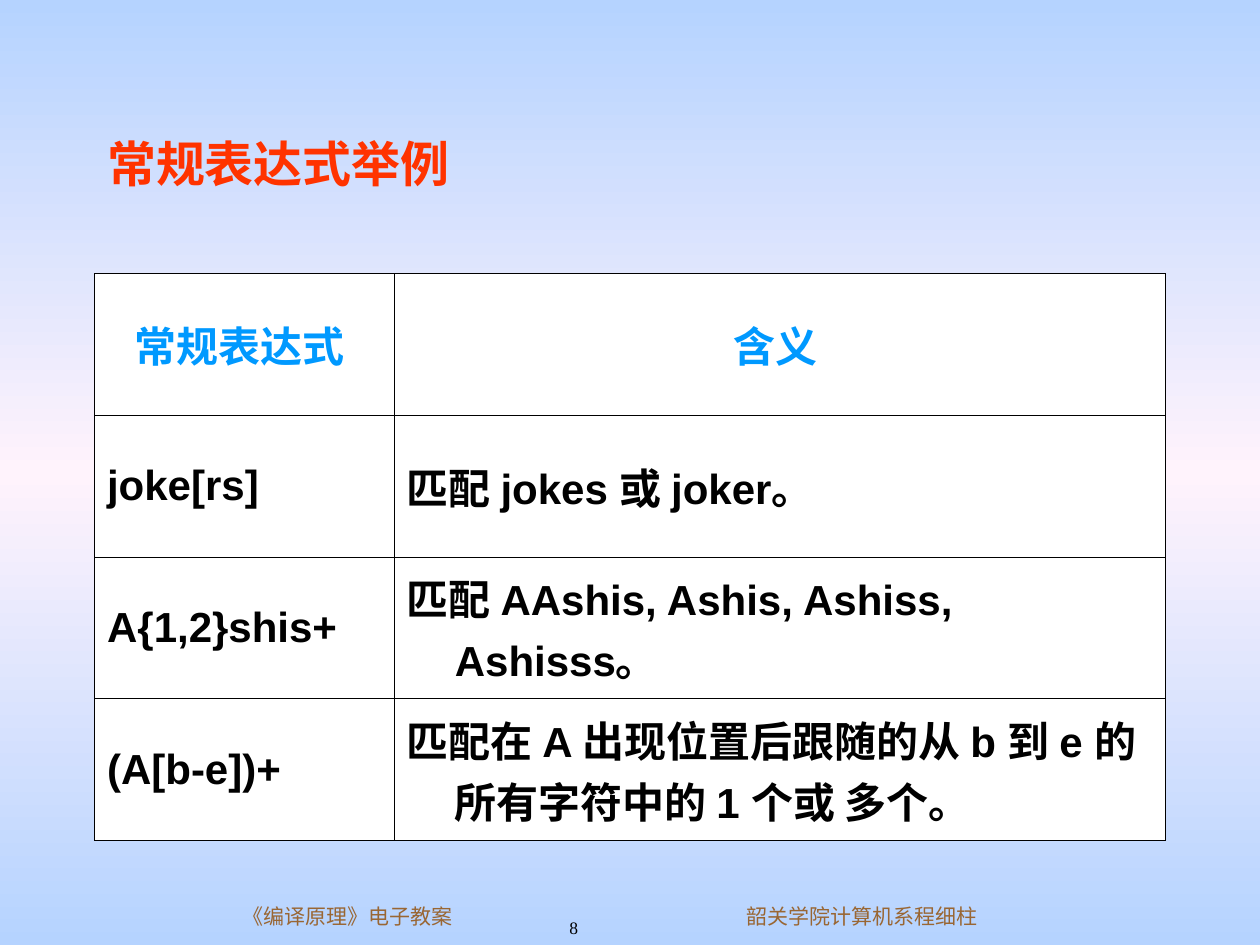
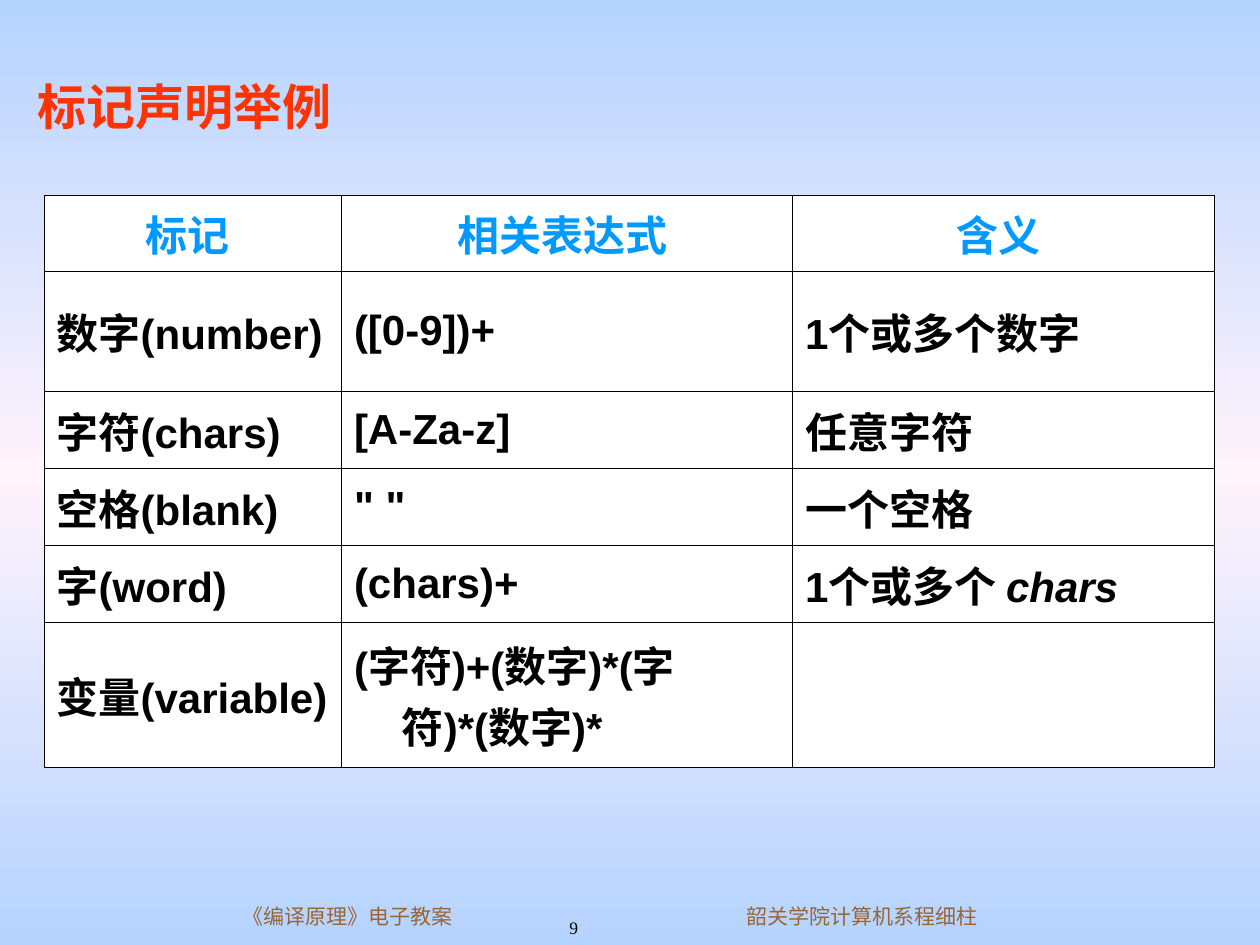
from lxml.etree import SubElement
from pptx import Presentation
from pptx.dml.color import RGBColor
from pptx.enum.text import MSO_ANCHOR, MSO_AUTO_SIZE, PP_ALIGN
from pptx.oxml.ns import qn
from pptx.util import Inches, Pt

COLORS = {
    "edge": "B5D3FF",
    "middle": "FFF3FC",
    "title": "FF3300",
    "header": "0099FF",
    "footer": "996633",
    "ink": "000000",
    "cell": "FFFFFF",
}
TITLE = {"name": "Times New Roman", "size": Pt(28), "bold": True}
CELL = {"name": "Arial", "size": Pt(24), "bold": True}
FOOTER = {"name": "Times New Roman", "size": Pt(12)}
NUMBER = {"name": "Times New Roman", "size": Pt(10)}
BORDER_WIDTH = Pt(0.45)
HANGING_INDENT = Inches(0.38)


class Lecture:
    """Holds the shared style and the current slide."""

    def __init__(self):
        self.deck = Presentation()
        self.deck.slide_width = Inches(10)
        self.deck.slide_height = Inches(7.5)
        self.page = None
        self.paint_background()

    def paint_background(self):
        master = self.deck.slide_master
        fill = master.background.fill
        fill.gradient()
        fill.gradient_angle = 90
        stops = master.element.find(".//" + qn("p:bg") + "//" + qn("a:gsLst"))
        stops.clear()
        for percent, color in ((0, "edge"), (50, "middle"), (100, "edge")):
            stop = SubElement(stops, qn("a:gs"), pos=str(percent * 1000))
            SubElement(stop, qn("a:srgbClr"), val=COLORS[color])

    def add_page(self, number):
        self.page = self.deck.slides.add_slide(self.deck.slide_layouts[5])
        self.footer(str(number), (4.42, 7.23, 0.83, 0.27), NUMBER, "ink", 6.2)
        self.footer("《编译原理》电子教案", (1.83, 7.12, 1.92, 0.3), FOOTER, "footer", 7.5)
        self.footer("韶关学院计算机系程细柱", (5.83, 7.12, 2.08, 0.3), FOOTER, "footer", 7.5)

    def add_span(self, para, text, style, color, **extra):
        span = para.add_run()
        span.text = text
        for name, value in {**style, **extra}.items():
            setattr(span.font, name, value)
        span.font.color.rgb = RGBColor.from_string(COLORS[color])

    def footer(self, text, place, style, color, space_before):
        box = self.page.shapes.add_textbox(*map(Inches, place))
        box.text_frame.word_wrap = True
        para = box.text_frame.paragraphs[0]
        para.space_before = Pt(space_before)
        self.add_span(para, text, style, color)

    def title(self, text, place):
        box = self.page.shapes.title
        for name, value in zip(("left", "top", "width", "height"), place):
            setattr(box, name, Inches(value))
        frame = box.text_frame
        frame.auto_size = MSO_AUTO_SIZE.NONE
        frame.vertical_anchor = MSO_ANCHOR.MIDDLE
        para = frame.paragraphs[0]
        para.alignment = PP_ALIGN.LEFT
        self.add_span(para, text, TITLE, "title")

    def table(self, left, top, widths, heights, rows):
        frame = self.page.shapes.add_table(
            len(rows), len(widths), Inches(left), Inches(top),
            Inches(sum(widths)), Inches(sum(heights)))
        table = frame.table
        table.first_row = table.horz_banding = False
        for column, width in zip(table.columns, widths):
            column.width = Inches(width)
        for row, height in zip(table.rows, heights):
            row.height = Inches(height)
        for row_index, texts in enumerate(rows):
            for column_index, text in enumerate(texts):
                self.cell(table.cell(row_index, column_index), text, row_index == 0)

    def cell(self, cell, text, is_header):
        """Fill one cell; a tuple gives upright text followed by italic text."""
        cell.vertical_anchor = MSO_ANCHOR.MIDDLE
        self.borders(cell)
        cell.fill.solid()
        cell.fill.fore_color.rgb = RGBColor.from_string(COLORS["cell"])
        para = cell.text_frame.paragraphs[0]
        para.alignment = PP_ALIGN.CENTER if is_header else PP_ALIGN.LEFT
        properties = para._p.get_or_add_pPr()
        properties.set("marL", str(HANGING_INDENT))
        properties.set("indent", str(-HANGING_INDENT))
        parts = text if isinstance(text, tuple) else (text,)
        for index, part in enumerate(parts):
            if part:
                self.add_span(para, part, CELL, "header" if is_header else "ink",
                              italic=index > 0)

    def borders(self, cell):
        properties = cell._tc.get_or_add_tcPr()
        for side in ("lnL", "lnR", "lnT", "lnB"):
            line = SubElement(properties, qn("a:" + side), w=str(BORDER_WIDTH))
            fill = SubElement(line, qn("a:solidFill"))
            SubElement(fill, qn("a:srgbClr"), val=COLORS["ink"])


def main():
    lecture = Lecture()

    # Regular expression examples
    lecture.add_page(8)
    lecture.title("常规表达式举例", (0.75, 0.67, 8.5, 1.25))
    lecture.table(0.75, 2.17, (2.38, 6.12), [4.5 / 4] * 4, (
        ("常规表达式 ", "含义 "),
        ("joke[rs]", "匹配 jokes 或 joker。"),
        ("A{1,2}shis+", "匹配 AAshis, Ashis, Ashiss, Ashisss。"),
        ("(A[b-e])+", "匹配在 A 出现位置后跟随的从 b 到 e 的所有字符中的 1 个或 多个。"),
    ))

    # Token declaration examples
    lecture.add_page(9)
    lecture.title("标记声明举例", (0.2, 0.52, 8.5, 0.64))
    lecture.table(0.35, 1.55, (2.36, 3.58, 3.35), (0.6, 0.96, 0.61, 0.61, 0.61, 1.15), (
        ("标记 ", "相关表达式 ", "含义 "),
        ("数字(number)", "([0-9])+", "1个或多个数字"),
        ("字符(chars)", "[A-Za-z]", "任意字符"),
        ("空格(blank)", '" "', "一个空格"),
        ("字(word)", "(chars)+", ("1个或多个 ", "chars")),
        ("变量(variable)", "(字符)+(数字)*(字符)*(数字)*", ""),
    ))

    lecture.deck.save("out.pptx")


if __name__ == "__main__":
    main()
